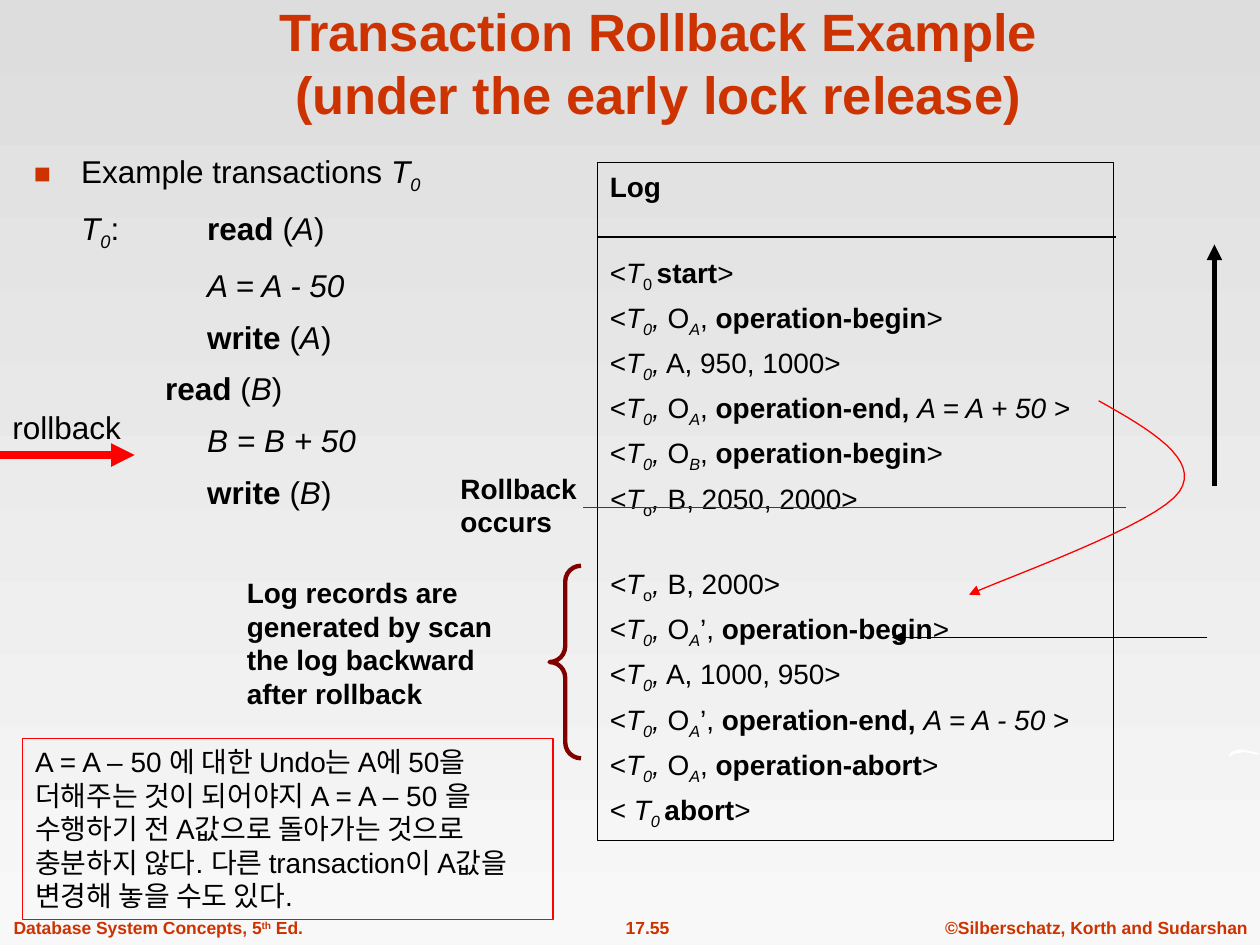
"""Build the slide on transaction rollback under early lock release."""
from dataclasses import dataclass
from itertools import groupby
from typing import Optional, Sequence

from lxml.etree import SubElement
from pptx import Presentation
from pptx.dml.color import RGBColor
from pptx.enum.shapes import MSO_CONNECTOR, MSO_SHAPE
from pptx.enum.text import MSO_ANCHOR, MSO_AUTO_SIZE, PP_ALIGN
from pptx.oxml.ns import qn
from pptx.util import Pt

BLACK = RGBColor(0x00, 0x00, 0x00)
WHITE = RGBColor(0xFF, 0xFF, 0xFF)
RUST = RGBColor(0xCC, 0x33, 0x00)
CRIMSON = RGBColor(0xCC, 0x00, 0x00)
RED = RGBColor(0xFF, 0x00, 0x00)
MAROON = RGBColor(0x80, 0x00, 0x00)
SKY = RGBColor(0xDD, 0xDD, 0xDD)
GROUND = RGBColor(0xF8, 0xF8, 0xF8)
MARKS = "*/_^"


@dataclass
class Style:
    size: float
    color: RGBColor = BLACK
    bold: bool = False
    align: PP_ALIGN = PP_ALIGN.LEFT


@dataclass
class Para:
    text: str
    gap: float = 0
    left: float = 0
    hang: float = 0
    dot: bool = False


@dataclass
class Box:
    x: float
    y: float
    w: float
    h: float

    def place(self) -> tuple:
        return Pt(self.x), Pt(self.y), Pt(self.w), Pt(self.h)


@dataclass
class Line:
    start: tuple
    end: tuple
    color: RGBColor = BLACK
    width: float = 0.75
    arrow: bool = False


NOTE = Style(16, bold=True)
FOOT = Style(10, RUST, True, PP_ALIGN.CENTER)
HEAD = Style(30, RUST, True, PP_ALIGN.CENTER)

STEPS = [
    Para("Example transactions /T_0", 0, 27, 27, True),
    Para("/T_0/_:\t*read *(/A/)", 7.9, 99, 72),
    Para("/A = A - 50", 7.9, 99),
    Para("*write *(/A/)", 7.9, 99),
    Para("*read *(/B/)", 7.9, 75),
    Para("/B = B + 50", 7.9, 99),
    Para("*write *(/B/)", 7.9, 99),
]
LOG = [
    Para("*Log"),
    Para("</T/_0 _*start*>", 30),
    Para("</T_0_,/ O/_A_/, *operation-begin*>", 4),
    Para("</T_0_,/ A, 950, 1000>", 4),
    Para("</T_0_,/ O/_A_/, *operation-end, */A = A + 50 />", 4),
    Para("</T_0_,/ O/_B_/, *operation-begin*>", 4),
    Para("/<T/_o_/,/ B, 2050, 2000>", 4),
    Para("/<T/_o_/,/ B, 2000>", 27),
    Para("</T_0_,/ O/_A_/’, *operation-begin*>", 4),
    Para("</T_0_,/ A, 1000, 950>", 4),
    Para("</T_0_,/ O/_A_/’, *operation-end, */A = A - 50 />", 4),
    Para("</T_0_,/ O/_A_/, *operation-abort*>", 4),
    Para("< /T_0 _/*abort*>", 4),
]
REMARK = ("A = A – 50 에 대한 Undo는 A에 50을 더해주는 것이 되어야지 A = A – 50 을 "
          "수행하기 전 A값으로 돌아가는 것으로 충분하지 않다. 다른 transaction이 A값을 "
          "변경해 놓을 수도 있다.")
LABELS = [
    (Box(256, 265.7, 85, 46), [Para("Rollback"), Para("occurs")], NOTE),
    (Box(134, 325.4, 172.8, 84),
     [Para("Log records are generated by scan the log backward after rollback")], NOTE),
    (Box(0, 229.7, 79, 29), [Para("rollback")], Style(18)),
]
FEET = [
    (Box(1, 520.5, 179, 19.5), "Database System Concepts, 5^th^ Ed."),
    (Box(332, 520.5, 76, 19.5), "17.55"),
    (Box(533, 520.5, 187, 19.5), "©Silberschatz, Korth and Sudarshan"),
]
LINES = [
    Line((341.3, 135.4), (638, 135.4)),
    Line((333.4, 290.2), (643.7, 290.2), CRIMSON),
    Line((0, 260), (77, 260), RED, 4.5, True),
    Line((694, 278), (694, 139.7), BLACK, 3, True),
    Line((690, 364.3), (509.8, 364.3), arrow=True),
]
SWOOP = [
    ((627.8, 229), (657.4, 245.5), (686.2, 262.8), (674, 280.8)),
    ((674, 280.8), (661.7, 299.5), (573.8, 330.5), (553.7, 339.8)),
]
FLECK = [(702, 432.7), (703.4, 429.8), (707.8, 428.4), (710.6, 428.4),
         (720, 430.6), (718.6, 431.3), (711.4, 429.8), (705.6, 430.6)]


def put(para, text: str) -> None:
    """Add runs, where * is bold, / italic, _ lowered and ^ raised."""
    live = set()
    for mark, group in groupby(text, lambda char: char in MARKS):
        chunk = "".join(group)
        if mark:
            live ^= set(chunk)
            continue
        run = para.add_run()
        run.text = chunk
        if "*" in live:
            run.font.bold = True
        if "/" in live:
            run.font.italic = True
        if live & {"_", "^"}:
            shift = "-25000" if "_" in live else "30000"
            run.font._element.set("baseline", shift)


def style_para(para, style: Style) -> None:
    """Set the font and alignment of a paragraph."""
    para.alignment = style.align
    font = para.font
    font.name, font.size, font.bold = "Arial", Pt(style.size), style.bold
    font.color.rgb = style.color


def write(frame, paras: Sequence[Para], style: Style, wrap: bool = True) -> None:
    """Fill a text frame with paragraphs."""
    frame.word_wrap = wrap
    frame.auto_size = MSO_AUTO_SIZE.NONE
    frame.vertical_anchor = MSO_ANCHOR.TOP
    for index, item in enumerate(paras):
        para = frame.add_paragraph() if index else frame.paragraphs[0]
        para.space_before = Pt(item.gap)
        props = para._p.get_or_add_pPr()
        props.set("marL", str(Pt(item.left)))
        props.set("indent", str(Pt(-item.hang)))
        if item.dot:
            tint = SubElement(props, qn("a:buClr"))
            SubElement(tint, qn("a:srgbClr"), val=str(RUST))
            SubElement(props, qn("a:buSzPct"), val="90000")
            SubElement(props, qn("a:buChar"), char="■")
        else:
            SubElement(props, qn("a:buNone"))
        style_para(para, style)
        put(para, item.text)


def move(shape, box: Box) -> None:
    """Put a placeholder at a box."""
    shape.left, shape.top, shape.width, shape.height = box.place()


def label(shapes, box: Box, paras: Sequence[Para], style: Style, wrap: bool = True) -> None:
    """Add a text box."""
    write(shapes.add_textbox(*box.place()).text_frame, paras, style, wrap)


def ink(shape, color: RGBColor, width: float = 0.75, arrow: bool = False) -> None:
    """Set the outline of a shape or connector."""
    shape.line.color.rgb = color
    shape.line.width = Pt(width)
    if arrow:
        SubElement(shape.line._get_or_add_ln(), qn("a:tailEnd"), type="triangle")


def rule(shapes, line: Line) -> None:
    """Draw a straight line."""
    ends = [Pt(val) for val in line.start + line.end]
    join = shapes.add_connector(MSO_CONNECTOR.STRAIGHT, *ends)
    ink(join, line.color, line.width, line.arrow)
    SubElement(join._element.spPr, qn("a:effectLst"))


def outline(shapes, points: Sequence[tuple], close: bool):
    """Draw a freeform through points."""
    first, *rest = [(Pt(x), Pt(y)) for x, y in points]
    pen = shapes.build_freeform(*first)
    pen.add_line_segments(rest, close=close)
    shape = pen.convert_to_shape()
    shape.shadow.inherit = False
    return shape


def bend(arc: Sequence[tuple], step: float) -> tuple:
    """Return the point of a cubic curve at a step from 0 to 1."""
    back = 1 - step
    parts = (back ** 3, 3 * back ** 2 * step, 3 * back * step ** 2, step ** 3)
    return tuple(sum(part * val for part, val in zip(parts, axis)) for axis in zip(*arc))


def preset(shapes, kind: MSO_SHAPE, box: Box, color: RGBColor, width: float = 0.75):
    """Draw an unfilled preset shape."""
    shape = shapes.add_shape(kind, *box.place())
    shape.shadow.inherit = False
    shape.fill.background()
    ink(shape, color, width)
    return shape


def main(name: Optional[str] = None) -> None:
    """Build and save the slide."""
    deck = Presentation()
    deck.slide_width, deck.slide_height = Pt(720), Pt(540)
    slide = deck.slides.add_slide(deck.slide_layouts[3])
    shapes = slide.shapes
    fill = slide.background.fill
    fill.gradient()
    fill.gradient_angle = 270
    for stop, color in zip(fill.gradient_stops, (SKY, GROUND)):
        stop.color.rgb = color

    for box, text in FEET:
        label(shapes, box, [Para(text)], FOOT, False)
    fleck = outline(shapes, FLECK, True)
    fleck.fill.solid()
    fleck.fill.fore_color.rgb = WHITE
    fleck.line.fill.background()

    title, steps, log = slide.placeholders
    move(title, Box(58.5, 3, 635.5, 72))
    frame = title.text_frame
    frame.text = "Transaction Rollback Example\v(under the early lock release)"
    frame.auto_size = MSO_AUTO_SIZE.NONE
    frame.vertical_anchor = MSO_ANCHOR.BOTTOM
    style_para(frame.paragraphs[0], HEAD)
    move(steps, Box(12.2, 83.5, 314, 367))
    write(steps.text_frame, STEPS, Style(18))
    move(log, Box(341.3, 93, 295.2, 387.4))
    write(log.text_frame, LOG, Style(16))
    ink(log, BLACK)

    for box, paras, style in LABELS:
        label(shapes, box, paras, style)
    brace = preset(shapes, MSO_SHAPE.LEFT_BRACE, Box(314, 323.3, 18, 110), MAROON, 2.5)
    brace.adjustments[0] = 0.5
    remark = preset(shapes, MSO_SHAPE.RECTANGLE, Box(13, 422, 303, 103.7), RED)
    write(remark.text_frame, [Para(REMARK)], Style(16))
    for line in LINES:
        rule(shapes, line)
    swoop = outline(shapes, [bend(arc, step / 16) for arc in SWOOP for step in range(17)], False)
    swoop.fill.background()
    ink(swoop, RED, arrow=True)
    deck.save("out.pptx")


if __name__ == "__main__":
    main()
